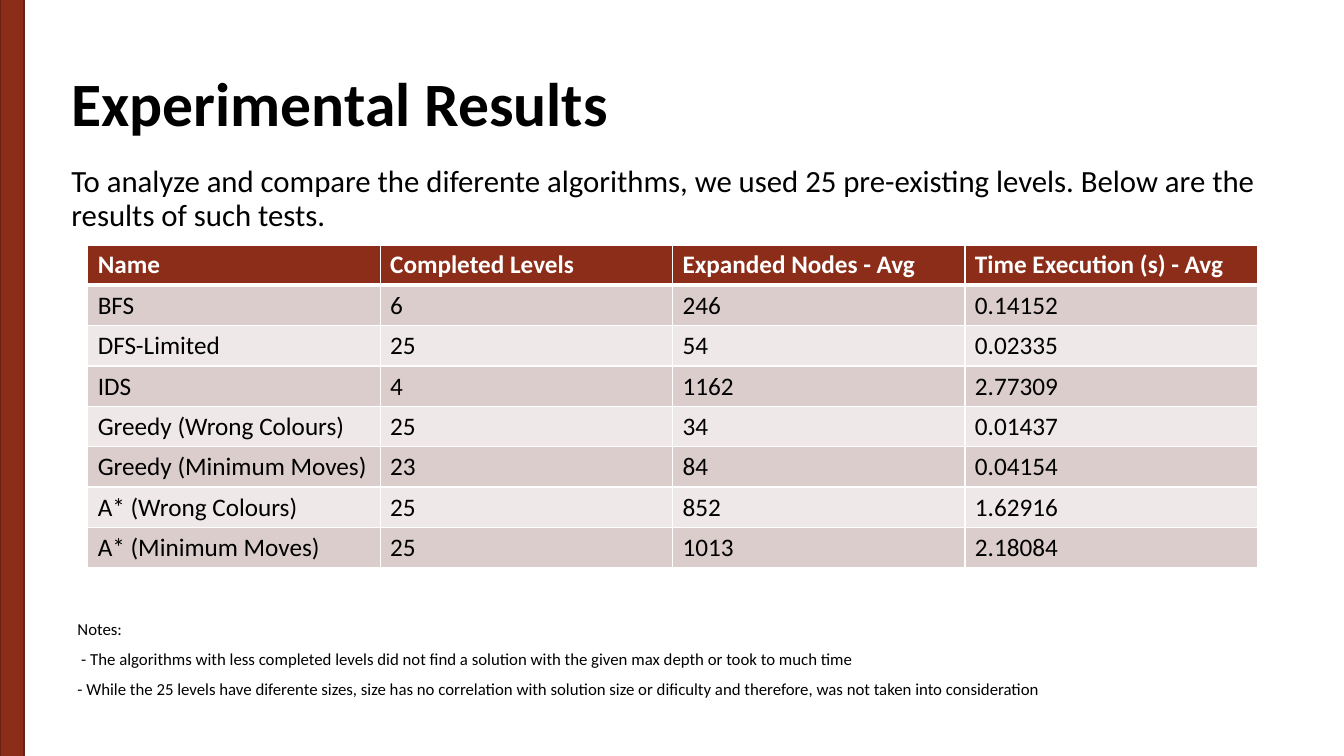
from dataclasses import dataclass

import lxml.etree
import pptx
import pptx.dml.color
import pptx.enum.shapes
import pptx.enum.text
import pptx.oxml.ns
import pptx.slide
import pptx.table
import pptx.util

Inches = pptx.util.Inches
Pt = pptx.util.Pt

FONT = "Calibri"
BLACK, WHITE = "000000", "FFFFFF"
RUST, DARK_RUST = "8C2D19", "682112"
BANDS = ("EEE8E8", "DACDCC")
ROW_HEIGHT, COLUMN_WIDTH = 0.4, 2.9


@dataclass(frozen=True)
class TextBlock:
    left: float
    top: float
    width: float
    height: float
    size: float
    lines: tuple[str, ...]
    line_spacing: float = 0.9
    space_before: float = 10
    bold: bool = False
    anchor: pptx.enum.text.MSO_ANCHOR = pptx.enum.text.MSO_ANCHOR.TOP


@dataclass(frozen=True)
class Result:
    algorithm: str
    completed: str
    expanded: str
    seconds: str

    def values(self) -> tuple[str, ...]:
        return self.algorithm, self.completed, self.expanded, self.seconds


TEXT_BLOCKS = (
    TextBlock(0.61, 1.6, 12.11, 4.76, 22, (
        "To analyze and compare the diferente algorithms, we used 25 pre-existing levels. "
        "Below are the results of such tests.",
    )),
    TextBlock(0.61, 0.33, 11.5, 1.45, 44, ("Experimental Results",),
              space_before=0, bold=True, anchor=pptx.enum.text.MSO_ANCHOR.MIDDLE),
    TextBlock(0.67, 6.13, 9.92, 0.88, 12, (
        "Notes:",
        " - The algorithms with less completed levels did not find a solution "
        "with the given max depth or took to much time",
        "- While the 25 levels have diferente sizes, size has no correlation with "
        "solution size or dificulty and therefore, was not taken into consideration",
    ), line_spacing=0.8),
)

RESULTS = (
    Result("Name", "Completed Levels", "Expanded Nodes - Avg", "Time Execution (s) - Avg"),
    Result("BFS", "6", "246", "0.14152"),
    Result("DFS-Limited", "25", "54", "0.02335"),
    Result("IDS", "4", "1162", "2.77309"),
    Result("Greedy (Wrong Colours)", "25", "34", "0.01437"),
    Result("Greedy (Minimum Moves)", "23", "84", "0.04154"),
    Result("A* (Wrong Colours)", "25", "852", "1.62916"),
    Result("A* (Minimum Moves)", "25", "1013", "2.18084"),
)


def color(value: str) -> pptx.dml.color.RGBColor:
    return pptx.dml.color.RGBColor.from_string(value)


def set_font(paragraph, size: float, fill: str, bold: bool) -> None:
    paragraph.font.name = FONT
    paragraph.font.size = Pt(size)
    paragraph.font.bold = bold
    paragraph.font.color.rgb = color(fill)


def add_text(slide: pptx.slide.Slide, block: TextBlock) -> None:
    box = slide.shapes.add_textbox(Inches(block.left), Inches(block.top),
                                   Inches(block.width), Inches(block.height))
    frame = box.text_frame
    frame.word_wrap = True
    frame.vertical_anchor = block.anchor
    frame.text = "\n".join(block.lines)
    for paragraph in frame.paragraphs:
        paragraph.line_spacing = block.line_spacing
        paragraph.space_before = Pt(block.space_before)
        set_font(paragraph, block.size, BLACK, block.bold)


def add_side_band(slide: pptx.slide.Slide) -> None:
    band = slide.shapes.add_shape(pptx.enum.shapes.MSO_SHAPE.RECTANGLE,
                                  Inches(0), Inches(-0.04), Inches(0.24), Inches(7.58))
    band.shadow.inherit = False
    band.fill.solid()
    band.fill.fore_color.rgb = color(RUST)
    band.line.color.rgb = color(DARK_RUST)
    band.line.width = Pt(1)


def set_borders(cell: pptx.table._Cell, top: float, bottom: float) -> None:
    qn = pptx.oxml.ns.qn
    properties = cell._tc.get_or_add_tcPr()
    for side, width in (("L", 1), ("R", 1), ("T", top), ("B", bottom)):
        line = lxml.etree.SubElement(properties, qn(f"a:ln{side}"), w=str(Pt(width)))
        fill = lxml.etree.SubElement(line, qn("a:solidFill"))
        lxml.etree.SubElement(fill, qn("a:srgbClr"), val=WHITE)


def add_results(slide: pptx.slide.Slide, results: tuple[Result, ...]) -> None:
    column_count = len(results[0].values())
    table = slide.shapes.add_table(
        len(results), column_count, Inches(0.87), Inches(2.43),
        Inches(COLUMN_WIDTH * column_count), Inches(ROW_HEIGHT * len(results))).table
    for column in table.columns:
        column.width = Inches(COLUMN_WIDTH)
    for row_index, result in enumerate(results):
        table.rows[row_index].height = Inches(ROW_HEIGHT)
        header = row_index == 0
        for column_index, value in enumerate(result.values()):
            cell = table.cell(row_index, column_index)
            set_borders(cell, top=3 if row_index == 1 else 1, bottom=3 if header else 1)
            cell.fill.solid()
            cell.fill.fore_color.rgb = color(RUST if header else BANDS[row_index % 2])
            cell.text = value
            set_font(cell.text_frame.paragraphs[0], 18, WHITE if header else BLACK, header)


def main() -> None:
    presentation = pptx.Presentation()
    presentation.slide_width = Inches(13.33)
    presentation.slide_height = Inches(7.5)
    slide = presentation.slides.add_slide(presentation.slide_layouts[6])
    for block in TEXT_BLOCKS:
        add_text(slide, block)
    add_side_band(slide)
    add_results(slide, RESULTS)
    presentation.save("out.pptx")


if __name__ == "__main__":
    main()
